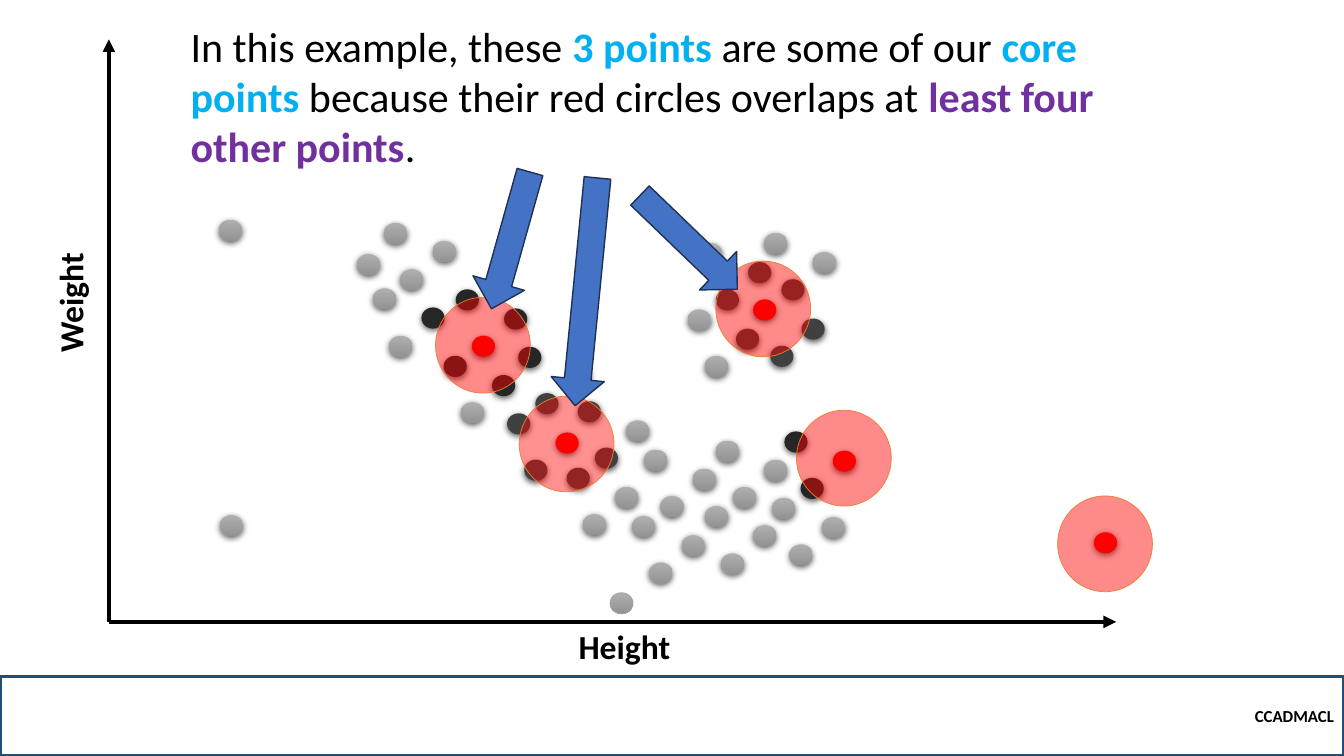
from lxml import etree
from pptx import Presentation
from pptx import util as u
from pptx.dml.color import RGBColor
from pptx.enum import shapes, text
from pptx.oxml import ns

PX = 9144
FONT = "Calibri"
RED = "FF0000"
GRAY = ("AFAFAF", "939393")

POINTS = [
    (GRAY, [
        (381, 221), (397, 267), (429, 239), (370, 286), (386, 333), (457, 399),
        (563, 363), (621, 417), (578, 510), (610, 483), (639, 446), (655, 492),
        (687, 465), (627, 512), (644, 558), (676, 531), (710, 437), (727, 483),
        (758, 456), (699, 502), (715, 549), (747, 521), (766, 494), (783, 540),
        (815, 513), (693, 241), (682, 307), (699, 353), (758, 231), (806, 250),
        (217, 218), (218, 511), (354, 252)]),
    ("262626", [
        (418, 305), (452, 287), (500, 306), (440, 353), (488, 372), (514, 344),
        (778, 428), (794, 474)]),
    ("404040", [
        (531, 390), (503, 410), (520, 456), (573, 398), (590, 444), (562, 464),
        (710, 287), (742, 260), (730, 326), (775, 277), (764, 343), (795, 316)]),
    (RED, [(468, 333), (551, 429), (826, 447), (747, 297), (1085, 528)]),
]
RINGS = [(432, 295, 46), (515, 393, 43), (710, 259, 46), (790, 407, 46), (1049, 492, 46)]
ARROWS = [(436, 212, 141, 105.7), (616, 214, 134, 43.9), (468, 263, 227, 95.6)]
TITLE = [
    ("In this example, these ", "000000", False),
    ("3 points", "00B0F0", True),
    (" are some of our ", "000000", False),
    ("core points", "00B0F0", True),
    (" because their red circles overlaps at ", "000000", False),
    ("least four other points", "7030A0", True),
    (".", "000000", False),
]


def px(*nums):
    return [u.Emu(n * PX) for n in nums]


def paint(color, value):
    color.rgb = RGBColor.from_string(value)


def add_run(para, words, size, color="000000", bold=True):
    run = para.add_run()
    run.text = words
    run.font.name = FONT
    run.font.size = u.Pt(size)
    run.font.bold = bold
    paint(run.font.color, color)


def add_form(slide, kind, box, fill=None, line=None, width=1):
    form = slide.shapes.add_shape(kind, *px(*box))
    form.shadow.inherit = False
    if fill is None:
        form.fill.background()
    elif isinstance(fill, tuple):
        form.fill.gradient()
        form.fill.gradient_angle = 270
        for stop, color in zip(form.fill.gradient_stops, fill):
            paint(stop.color, color)
    else:
        form.fill.solid()
        paint(form.fill.fore_color, fill)
    if line:
        paint(form.line.color, line)
        form.line.width = u.Pt(width)
    else:
        form.line.fill.background()
    return form


def add_child(node, tag, **attrs):
    return etree.SubElement(node, ns.qn(tag), attrs)


def add_point(slide, spot, fill):
    point = add_form(slide, shapes.MSO_SHAPE.OVAL, (*spot, 23, 21), fill)
    glow = point.element.spPr.find(ns.qn("a:effectLst"))
    shade = add_child(glow, "a:outerShdw", blurRad="57150", dist="19050",
                      dir="5400000", algn="ctr", rotWithShape="0")
    black = add_child(shade, "a:srgbClr", val="000000")
    add_child(black, "a:alpha", val="63000")


def add_ring(slide, left, top, alpha):
    ring = add_form(slide, shapes.MSO_SHAPE.OVAL, (left, top, 94, 95), RED, "ED7D31", 0.5)
    color = ring.element.spPr.find(ns.qn("a:solidFill"))[0]
    add_child(color, "a:alpha", val=str(alpha * 1000))


def add_arrow(slide, left, top, width, angle):
    arrow = add_form(slide, shapes.MSO_SHAPE.RIGHT_ARROW, (left, top, width, 53),
                     "4472C4", "1E3256")
    arrow.rotation = angle


def add_axis(slide, *ends):
    axis = slide.shapes.add_connector(shapes.MSO_CONNECTOR.STRAIGHT, *px(*ends))
    paint(axis.line.color, "000000")
    axis.line.width = u.Pt(3)
    add_child(axis.line._get_or_add_ln(), "a:tailEnd", type="triangle")
    add_child(axis.element.spPr, "a:effectLst")


def add_label(slide, words, box, angle=0):
    label = slide.shapes.add_textbox(*px(*box))
    label.rotation = angle
    label.text_frame.word_wrap = False
    add_run(label.text_frame.paragraphs[0], words, 24)


def add_title(slide):
    title = slide.shapes.title
    title.left, title.top, title.width, title.height = px(179, 15, 928, 162)
    frame = title.text_frame
    frame.word_wrap = True
    frame.auto_size = text.MSO_AUTO_SIZE.NONE
    frame.vertical_anchor = text.MSO_ANCHOR.TOP
    para = frame.paragraphs[0]
    para.alignment = text.PP_ALIGN.LEFT
    for words, color, bold in TITLE:
        add_run(para, words, 30, color, bold)


def add_footer(slide):
    bar = add_form(slide, shapes.MSO_SHAPE.RECTANGLE, (0, 671, 1333, 79),
                   None, "1F4E79", 2.25)
    bar.text_frame.vertical_anchor = text.MSO_ANCHOR.MIDDLE
    para = bar.text_frame.paragraphs[0]
    para.alignment = text.PP_ALIGN.RIGHT
    add_run(para, "CCADMACL", 12)


def main():
    deck = Presentation()
    deck.slide_width, deck.slide_height = px(1333, 750)
    slide = deck.slides.add_slide(deck.slide_layouts[5])
    add_title(slide)
    add_footer(slide)
    add_axis(slide, 108, 617, 1107, 617)
    add_axis(slide, 108, 617, 108, 39)
    for fill, spots in POINTS:
        for spot in spots:
            add_point(slide, spot, fill)
    add_label(slide, "Height", (564, 616, 117, 50))
    add_label(slide, "Weight", (10, 275, 119, 50), 270)
    for ring in RINGS:
        add_ring(slide, *ring)
    for arrow in ARROWS:
        add_arrow(slide, *arrow)
    add_form(slide, shapes.MSO_SHAPE.OVAL, (605, 588, 23, 21), GRAY, "A5A5A5", 0.5)
    deck.save("out.pptx")


if __name__ == "__main__":
    main()
